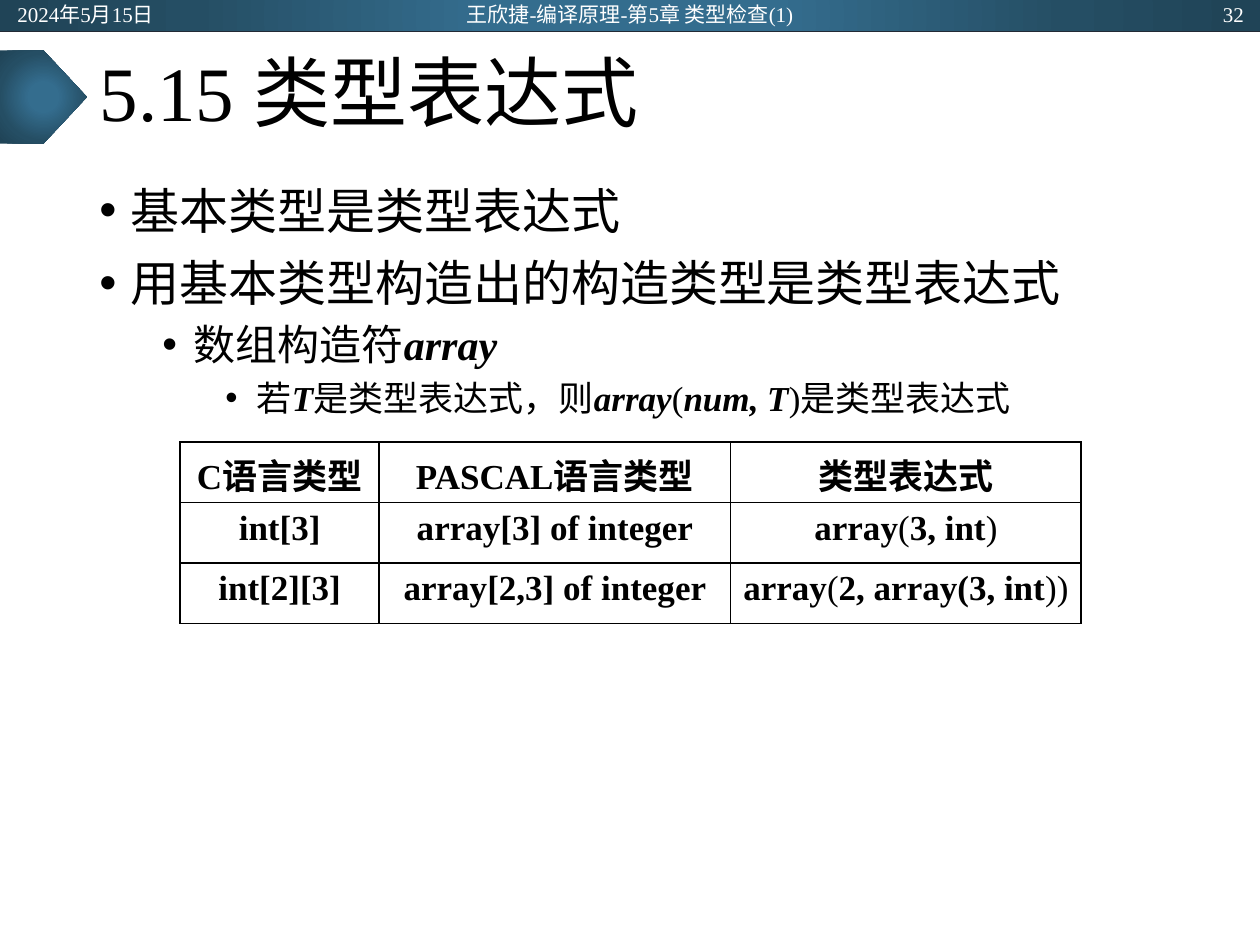
from lxml import etree
from pptx import Presentation
from pptx import util as u
from pptx.dml.color import RGBColor
from pptx.enum import shapes, text
from pptx.oxml import parse_xml
from pptx.oxml.ns import nsdecls, qn

FONT = "Times New Roman"
BLACK = RGBColor(0, 0, 0)
WHITE = RGBColor(255, 255, 255)
NAVY = RGBColor(0x22, 0x2A, 0x35)
GLOW = [(0, RGBColor(0x34, 0x6D, 0x8E)), (23, RGBColor(0x34, 0x6D, 0x8E)),
        (69, RGBColor(0x25, 0x4E, 0x64)), (97, RGBColor(0x20, 0x44, 0x57))]


def write(para, marked, size, color=BLACK, italic=False):
    for index, piece in enumerate(marked.split("*")):
        if piece:
            span = para.add_run()
            span.text = piece
            span.font.name = FONT
            span.font.size = u.Pt(size)
            span.font.color.rgb = color
            span.font.bold = index % 2 == 1
            span.font.italic = italic and index % 2 == 1


deck = Presentation()
deck.slide_width, deck.slide_height = u.Inches(10), u.Inches(7.5)
page = deck.slides.add_slide(deck.slide_layouts[5])
bar = u.Inches(0.25)
margin = u.Inches(0.69)
content = deck.slide_width - 2 * margin

stops = "".join(f'<a:gs pos="{share * 1000}"><a:srgbClr val="{color}"/></a:gs>'
                for share, color in GLOW)
for preset, top, width, height in [
        (shapes.MSO_SHAPE.RECTANGLE, 0, deck.slide_width, bar),
        (shapes.MSO_SHAPE.PENTAGON, u.Inches(0.4), margin, u.Inches(0.74))]:
    panel = page.shapes.add_shape(preset, 0, top, width, height)
    panel.shadow.inherit = False
    panel.line.fill.background()
    panel.fill.background()
    empty_fill = panel._element.spPr.find(qn("a:noFill"))
    panel._element.spPr.replace(empty_fill, parse_xml(
        f'<a:gradFill {nsdecls("a")} rotWithShape="1"><a:gsLst>{stops}</a:gsLst>'
        '<a:path path="circle"><a:fillToRect l="50000" t="50000" r="50000" b="50000"/>'
        '</a:path></a:gradFill>'))

rule = page.shapes.add_connector(shapes.MSO_CONNECTOR.STRAIGHT, 0, bar, deck.slide_width, bar)
rule.line.color.rgb = NAVY
rule.line.width = u.Pt(0.5)
etree.SubElement(rule._element.spPr, qn("a:effectLst"))

title = page.shapes.title
title.left, title.top, title.width, title.height = margin, bar, content, u.Inches(1.04)
title.text_frame.auto_size = text.MSO_AUTO_SIZE.NONE
title.text_frame.vertical_anchor = text.MSO_ANCHOR.MIDDLE
heading = title.text_frame.paragraphs[0]
heading.alignment = text.PP_ALIGN.LEFT
heading.line_spacing = 0.9
write(heading, "5.15 类型表达式", 44)

body = page.shapes.add_textbox(margin, u.Inches(1.38), content, u.Inches(5.38)).text_frame
body.word_wrap = True
points = [(0, "基本类型是类型表达式"),
          (0, "用基本类型构造出的构造类型是类型表达式"),
          (1, "数组构造符*array"),
          (2, "若*T*是类型表达式，则*array*(*num, T*)是类型表达式")]
for index, (level, marked) in enumerate(points):
    para = body.add_paragraph() if index else body.paragraphs[0]
    para.level = level
    para.line_spacing = 1.0
    para.space_before = u.Pt((8, 4, 4)[level] if index else 0)
    layout = para._p.get_or_add_pPr()
    layout.set("marL", str(u.Inches(0.25 + 0.5 * level)))
    layout.set("indent", str(u.Inches(-0.25)))
    etree.SubElement(layout, qn("a:buFont")).set("typeface", "Arial")
    etree.SubElement(layout, qn("a:buChar")).set("char", "•")
    write(para, marked, 28 - 4 * level, italic=True)

rows = [["*C语言类型", "*PASCAL语言类型", "*类型表达式"],
        ["*int[3]", "*array[3] of integer", "*array*(*3, int*)"],
        ["*int[2][3]", "*array[2,3] of integer", "*array*(*2, array(3, int*))"]]
row_height = u.Inches(0.48)
table = page.shapes.add_table(3, 3, u.Inches(1.43), u.Inches(3.51), u.Inches(7.15),
                              3 * row_height).table
for column, width in zip(table.columns, (1.58, 2.79, 2.78)):
    column.width = u.Inches(width)
for row, entries in zip(table.rows, rows):
    row.height = row_height
    for cell, marked in zip(row.cells, entries):
        cell.margin_left = cell.margin_right = u.Inches(0.08)
        borders = cell._tc.get_or_add_tcPr()
        for side in ("lnL", "lnR", "lnT", "lnB"):
            borders.append(parse_xml(
                f'<a:{side} {nsdecls("a")} w="{u.Pt(1)}"><a:solidFill>'
                f'<a:srgbClr val="{BLACK}"/></a:solidFill></a:{side}>'))
        cell.fill.background()
        para = cell.text_frame.paragraphs[0]
        para.alignment = text.PP_ALIGN.CENTER
        write(para, marked, 20)

for left, width, align, label in [
        (0.04, 2.25, text.PP_ALIGN.LEFT, "2024年5月15日"),
        (3.31, 3.38, text.PP_ALIGN.CENTER, "王欣捷-编译原理-第5章 类型检查(1)"),
        (7.72, 2.25, text.PP_ALIGN.RIGHT, "32")]:
    box = page.shapes.add_textbox(u.Inches(left), u.Inches(0.01), u.Inches(width), u.Inches(0.2))
    box.text_frame.word_wrap = True
    box.text_frame.vertical_anchor = text.MSO_ANCHOR.MIDDLE
    para = box.text_frame.paragraphs[0]
    para.alignment = align
    write(para, label, 12, WHITE)

deck.save("out.pptx")
